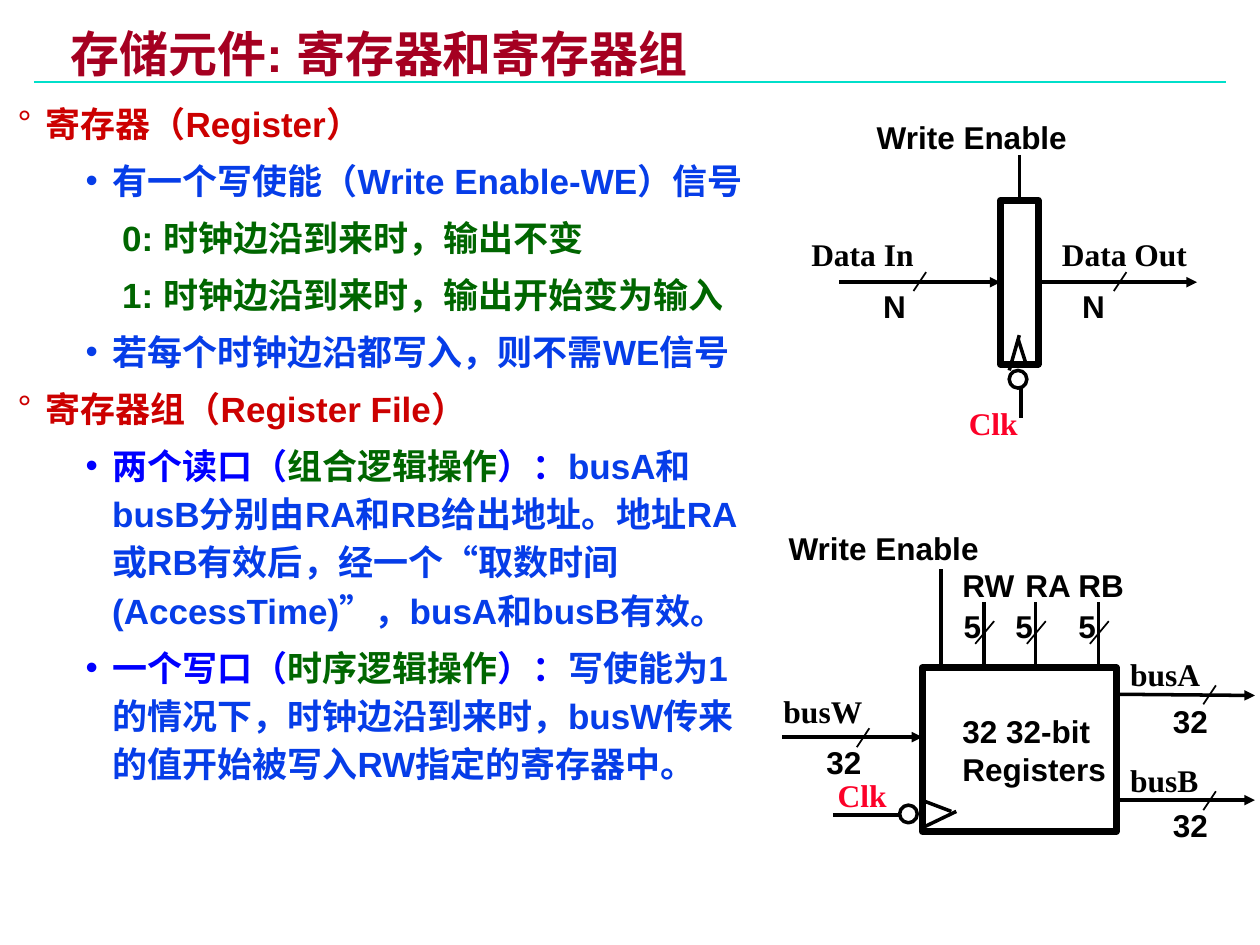
from pptx import Presentation
from pptx.dml.color import RGBColor
from pptx.enum.shapes import MSO_CONNECTOR, MSO_SHAPE
from pptx.enum.text import MSO_ANCHOR, MSO_AUTO_SIZE, PP_ALIGN
from pptx.oxml.ns import qn
from pptx.util import Inches, Pt
from lxml.etree import SubElement

BLACK = RGBColor(0x00, 0x00, 0x00)
TEAL = RGBColor(0x00, 0xDF, 0xCA)
CRIMSON = RGBColor(0xA5, 0x00, 0x21)
RED = RGBColor(0xCC, 0x00, 0x00)
CLOCK_RED = RGBColor(0xFC, 0x01, 0x28)
BLUE = RGBColor(0x06, 0x3D, 0xE8)
PURE_BLUE = RGBColor(0x00, 0x00, 0xFF)
GREEN = RGBColor(0x00, 0x66, 0x00)
SERIF = "Times New Roman"

presentation = Presentation()
presentation.slide_width, presentation.slide_height = Inches(10), Inches(7.5)
slide = presentation.slides.add_slide(presentation.slide_layouts[1])


def add_line(x1, y1, x2, y2, width=2, color=BLACK, arrow=False):
    line = slide.shapes.add_connector(
        MSO_CONNECTOR.STRAIGHT, Inches(x1), Inches(y1), Inches(x2), Inches(y2))
    line.line.width = Pt(width)
    line.line.color.rgb = color
    if arrow:
        SubElement(line.line._get_or_add_ln(), qn("a:tailEnd"), type="triangle")
    SubElement(line._element.spPr, qn("a:effectLst"))
    return line


def add_run(paragraph, text, size, color, name="Arial"):
    run = paragraph.add_run()
    run.text = text
    values = {"size": Pt(size), "bold": True, "name": name}
    for attribute, value in values.items():
        setattr(run.font, attribute, value)
    run.font.color.rgb = color


# Title with the rule under it
add_line(0.27, 0.65, 9.73, 0.65, 1.5, TEAL)
title, body = slide.shapes.title, slide.placeholders[1]
placeholders = [
    (title, (0.49, 0.22, 7.64, 0.46)),
    (body, (0.07, 0.73, 5.94, 7.21)),
]
frame_format = {
    "margin_left": Inches(0.07), "margin_right": Inches(0.07),
    "margin_top": Inches(0.03), "margin_bottom": Inches(0.03),
    "vertical_anchor": MSO_ANCHOR.TOP, "word_wrap": True,
    "auto_size": MSO_AUTO_SIZE.NONE,
}
for placeholder, box in placeholders:
    for attribute, value in zip(("left", "top", "width", "height"), box):
        setattr(placeholder, attribute, Inches(value))
    for attribute, value in frame_format.items():
        setattr(placeholder.text_frame, attribute, value)
heading = title.text_frame.paragraphs[0]
heading.alignment = PP_ALIGN.LEFT
heading.line_spacing = 0.87
add_run(heading, "存储元件: 寄存器和寄存器组", 28, CRIMSON)

# Body list: level, bullet, left margin, hanging indent, coloured runs
TOPIC = (0, "°", 0.22, -0.22)
POINT = (1, "•", 0.75, -0.21)
CASE = (1, None, 0.83, 0)
items = [
    (TOPIC, [("寄存器（Register）", RED)]),
    (POINT, [("有一个写使能（Write Enable-WE）信号", BLUE)]),
    (CASE, [("0: 时钟边沿到来时，输出不变", GREEN)]),
    (CASE, [("1: 时钟边沿到来时，输出开始变为输入", GREEN)]),
    (POINT, [("若每个时钟边沿都写入，则不需WE信号", BLUE)]),
    (TOPIC, [("寄存器组（Register File）", RED)]),
    (POINT, [("两个读口（", PURE_BLUE), ("组合逻辑操作", GREEN), ("）：", PURE_BLUE),
             ("busA和busB分别由RA和RB给出地址。地址RA或RB有效后，"
              "经一个“取数时间(AccessTime)”，busA和busB有效。", BLUE)]),
    (POINT, [("一个写口（", PURE_BLUE), ("时序逻辑操作", GREEN), ("）：", PURE_BLUE),
             ("写使能为1的情况下，时钟边沿到来时，"
              "busW传来的值开始被写入RW指定的寄存器中。", BLUE)]),
]
for index, ((level, bullet, margin, indent), runs) in enumerate(items):
    frame = body.text_frame
    paragraph = frame.add_paragraph() if index else frame.paragraphs[0]
    properties = paragraph._p.get_or_add_pPr()
    properties.set("marL", str(Inches(margin)))
    properties.set("indent", str(Inches(indent)))
    properties.set("hangingPunct", "0")
    if bullet:
        bullet_color = SubElement(properties, qn("a:buClr"))
        SubElement(bullet_color, qn("a:srgbClr"), val=str(runs[0][1]))
        SubElement(properties, qn("a:buFont"), typeface="Arial")
        SubElement(properties, qn("a:buChar"), char=bullet)
    else:
        SubElement(properties, qn("a:buNone"))
    paragraph_format = {
        "level": level, "line_spacing": 1.15, "alignment": PP_ALIGN.LEFT,
        "space_before": Pt(5 if index else 0),
    }
    for attribute, value in paragraph_format.items():
        setattr(paragraph, attribute, value)
    for text, color in runs:
        add_run(paragraph, text, 20, color)

# Register, register file and their clock bubbles
outlines = [
    (MSO_SHAPE.RECTANGLE, 7.94, 1.59, 0.3, 1.3, 4),
    (MSO_SHAPE.RECTANGLE, 7.32, 5.3, 1.54, 1.3, 4),
    (MSO_SHAPE.OVAL, 8.01, 2.94, 0.14, 0.14, 2),
    (MSO_SHAPE.OVAL, 7.14, 6.39, 0.14, 0.14, 2),
]
blocks = []
for kind, left, top, width, height, weight in outlines:
    shape = slide.shapes.add_shape(
        kind, Inches(left), Inches(top), Inches(width), Inches(height))
    shape.shadow.inherit = False
    shape.fill.background()
    shape.line.color.rgb = BLACK
    shape.line.width = Pt(weight)
    blocks.append(shape)
register = blocks[0]

# Wires of the register
add_line(6.66, 2.24, 7.94, 2.24, arrow=True).end_connect(register, 1)
add_line(8.27, 2.24, 9.5, 2.24, arrow=True)
add_line(8.09, 1.23, 8.09, 1.59).end_connect(register, 0)
add_line(8.1, 3.06, 8.1, 3.32, 2.25)

# Wires of the register file
add_line(6.21, 5.85, 7.32, 5.85, arrow=True)
add_line(8.84, 5.51, 9.96, 5.52, arrow=True)
add_line(8.86, 6.35, 9.96, 6.35, arrow=True)
add_line(7.47, 4.52, 7.47, 5.28)
add_line(6.61, 6.47, 7.14, 6.47)

# Clock edge marks
for mark in [(8.01, 2.94, 8.09, 2.66), (8.08, 2.69, 8.15, 2.91),
             (7.34, 6.36, 7.55, 6.44), (7.59, 6.44, 7.32, 6.57)]:
    add_line(*mark)

# Width slashes on the data wires
for x, y in [(7.25, 2.16), (8.84, 2.16), (6.8, 5.78), (9.55, 5.44), (9.55, 6.28)]:
    add_line(x + 0.1, y, x, y + 0.15, 1)

# Labels: text, left, top, width, font, colour, wrap
labels = [
    ("Write Enable", 6.86, 0.89, 1.71, "Arial", BLACK, False),
    ("Data In", 6.34, 1.82, 1.22, SERIF, BLACK, True),
    ("Data Out", 8.33, 1.82, 1.67, SERIF, BLACK, True),
    ("N", 6.91, 2.23, 0.38, "Arial", BLACK, False),
    ("N", 8.49, 2.23, 0.38, "Arial", BLACK, False),
    ("Clk", 7.59, 3.16, 0.59, SERIF, CLOCK_RED, False),
    ("Write Enable", 6.16, 4.15, 1.71, "Arial", BLACK, False),
    ("busW", 6.12, 5.44, 0.9, SERIF, BLACK, True),
    ("32", 6.46, 5.85, 0.48, "Arial", BLACK, False),
    ("Clk", 6.55, 6.11, 0.59, SERIF, CLOCK_RED, False),
    ("busA", 8.87, 5.15, 0.85, SERIF, BLACK, True),
    ("32", 9.21, 5.52, 0.48, "Arial", BLACK, False),
    ("busB", 8.87, 5.99, 0.85, SERIF, BLACK, True),
    ("32", 9.21, 6.35, 0.48, "Arial", BLACK, False),
    ("32 32-bit\nRegisters", 7.54, 5.6, 1.34, "Arial", BLACK, False),
]

# Address ports: wire, slash, name and width of each
for name, x, left, width in [("RW", 7.81, 7.54, 0.61), ("RA", 8.22, 8.04, 0.56),
                             ("RB", 8.72, 8.46, 0.56)]:
    add_line(x, 4.78, x, 5.29)
    add_line(x - 0.07, 5.11, x + 0.08, 4.93, 1)
    labels.append((name, left, 4.44, width, "Arial", BLACK, False))
    labels.append(("5", x - 0.26, 4.77, 0.34, "Arial", BLACK, False))

for text, left, top, width, font_name, color, wrap in labels:
    lines = text.split("\n")
    box = slide.shapes.add_textbox(
        Inches(left), Inches(top), Inches(width), Inches(0.1 + 0.3 * len(lines)))
    frame = box.text_frame
    frame.word_wrap = wrap
    frame.auto_size = MSO_AUTO_SIZE.SHAPE_TO_FIT_TEXT
    for index, line_text in enumerate(lines):
        paragraph = frame.add_paragraph() if index else frame.paragraphs[0]
        add_run(paragraph, line_text, 18, color, font_name)

presentation.save("out.pptx")
